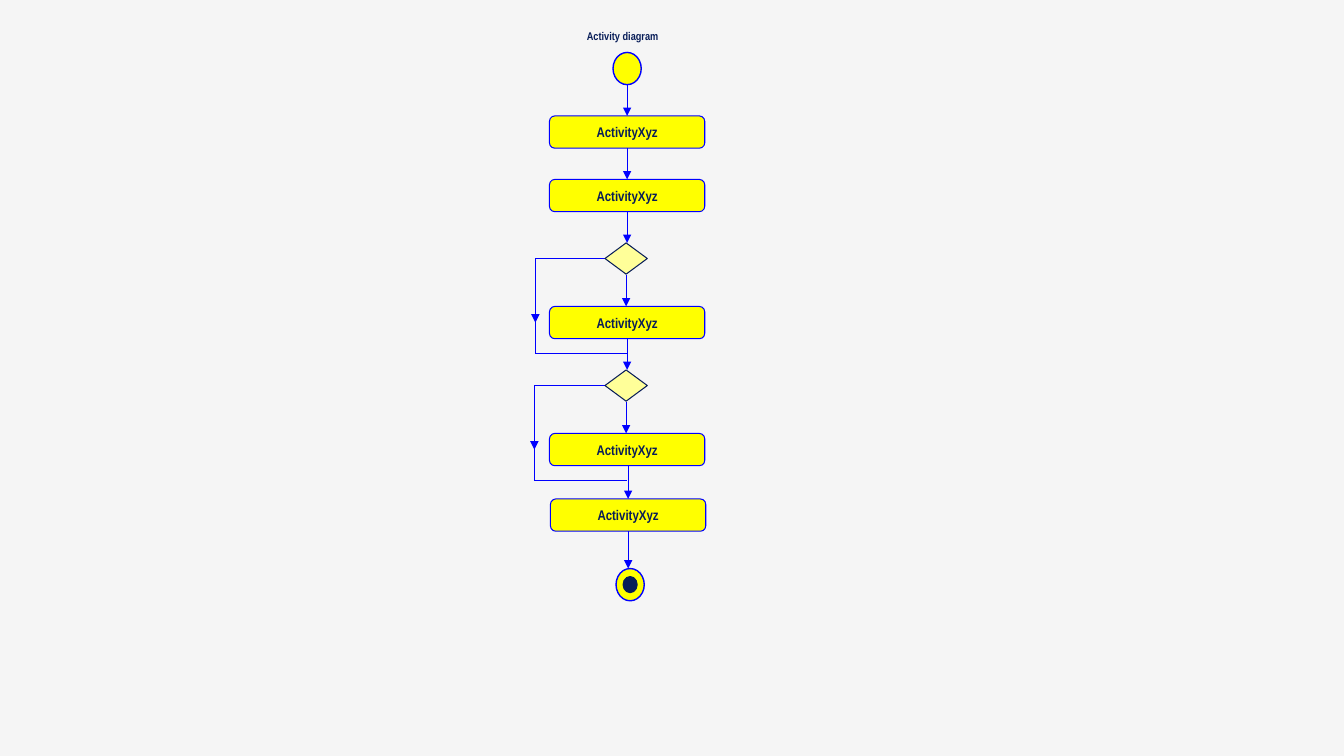
from lxml import etree
from pptx import Presentation
from pptx import util as u
from pptx.dml.color import RGBColor
from pptx.enum import shapes, text
from pptx.oxml.ns import qn

COLORS = {
    "back": "F5F5F5",
    "blue": "0000FF",
    "navy": "081D58",
    "yellow": "FFFF00",
    "pale": "FFFF99",
}
FONT = "Arial Narrow"
KIND = shapes.MSO_SHAPE
MID = 6.22


def color(name):
    return RGBColor.from_string(COLORS[name])


def add_text(frame, words, size, align):
    frame.word_wrap = False
    para = frame.paragraphs[0]
    para.alignment = align
    run = para.add_run()
    run.text = words
    font = run.font
    font.name, font.size, font.bold = FONT, u.Pt(size), True
    font.color.rgb = color("navy")


def add_title(slide, words):
    title = slide.shapes.title
    title.left, title.top = u.Inches(5.72), u.Inches(0.24)
    title.width, title.height = u.Inches(0.92), u.Inches(0.24)
    frame = title.text_frame
    frame.auto_size = text.MSO_AUTO_SIZE.NONE
    frame.vertical_anchor = text.MSO_ANCHOR.TOP
    add_text(frame, words, 8, text.PP_ALIGN.LEFT)


def add_node(slide, kind, box, fill, line, weight=0.75):
    node = slide.shapes.add_shape(kind, *map(u.Inches, box))
    node.shadow.inherit = False
    node.fill.solid()
    node.fill.fore_color.rgb = color(fill)
    node.line.color.rgb = color(line)
    node.line.width = u.Pt(weight)
    return node


def add_step(slide, top, left=5.45):
    step = add_node(slide, KIND.ROUNDED_RECTANGLE, (left, top, 1.54, 0.32), "yellow", "blue")
    step.adjustments[0] = 0.167
    frame = step.text_frame
    frame.vertical_anchor = text.MSO_ANCHOR.MIDDLE
    add_text(frame, "ActivityXyz", 10, text.PP_ALIGN.CENTER)


def add_line(slide, start, end, arrow=False):
    line = slide.shapes.add_connector(
        shapes.MSO_CONNECTOR.STRAIGHT, *map(u.Inches, (*start, *end)))
    line.line.color.rgb = color("blue")
    line.line.width = u.Pt(0.75)
    props = line._element.spPr
    if arrow:
        etree.SubElement(props.find(qn("a:ln")), qn("a:tailEnd"), type="triangle")
    etree.SubElement(props, qn("a:effectLst"))


def add_choice(slide, top, side):
    fork, join = top + 0.15, top + 1.1
    add_line(slide, (side, fork), (6.04, fork))
    add_line(slide, (side, join), (side, fork))
    add_line(slide, (side, join), (MID, join))
    add_line(slide, (side, top + 0.47), (side, top + 0.79), True)
    add_node(slide, KIND.FLOWCHART_DECISION, (6, top, 0.42, 0.31), "pale", "navy")
    add_line(slide, (6.21, top + 0.32), (6.21, top + 0.63), True)


def main():
    deck = Presentation()
    deck.slide_width, deck.slide_height = u.Inches(13.33), u.Inches(7.5)
    slide = deck.slides.add_slide(deck.slide_layouts[5])
    slide.background.fill.solid()
    slide.background.fill.fore_color.rgb = color("back")

    add_title(slide, "Activity diagram")
    add_node(slide, KIND.OVAL, (6.08, 0.52, 0.28, 0.32), "yellow", "blue", 1)
    for top in (1.15, 1.78, 3.04, 4.3):
        add_step(slide, top)
    add_step(slide, 4.95, 5.46)
    for top, side in ((2.41, 5.31), (3.67, 5.3)):
        add_choice(slide, top, side)
    for top, end in ((0.84, 1.15), (1.47, 1.78), (2.1, 2.41), (3.36, 3.67)):
        add_line(slide, (MID, top), (MID, end), True)
    for top, end in ((4.62, 4.95), (5.27, 5.64)):
        add_line(slide, (6.23, top), (6.23, end), True)
    add_node(slide, KIND.OVAL, (6.11, 5.64, 0.28, 0.32), "yellow", "blue", 1)
    add_node(slide, KIND.OVAL, (6.18, 5.72, 0.14, 0.16), "navy", "navy")

    deck.save("out.pptx")


if __name__ == "__main__":
    main()
